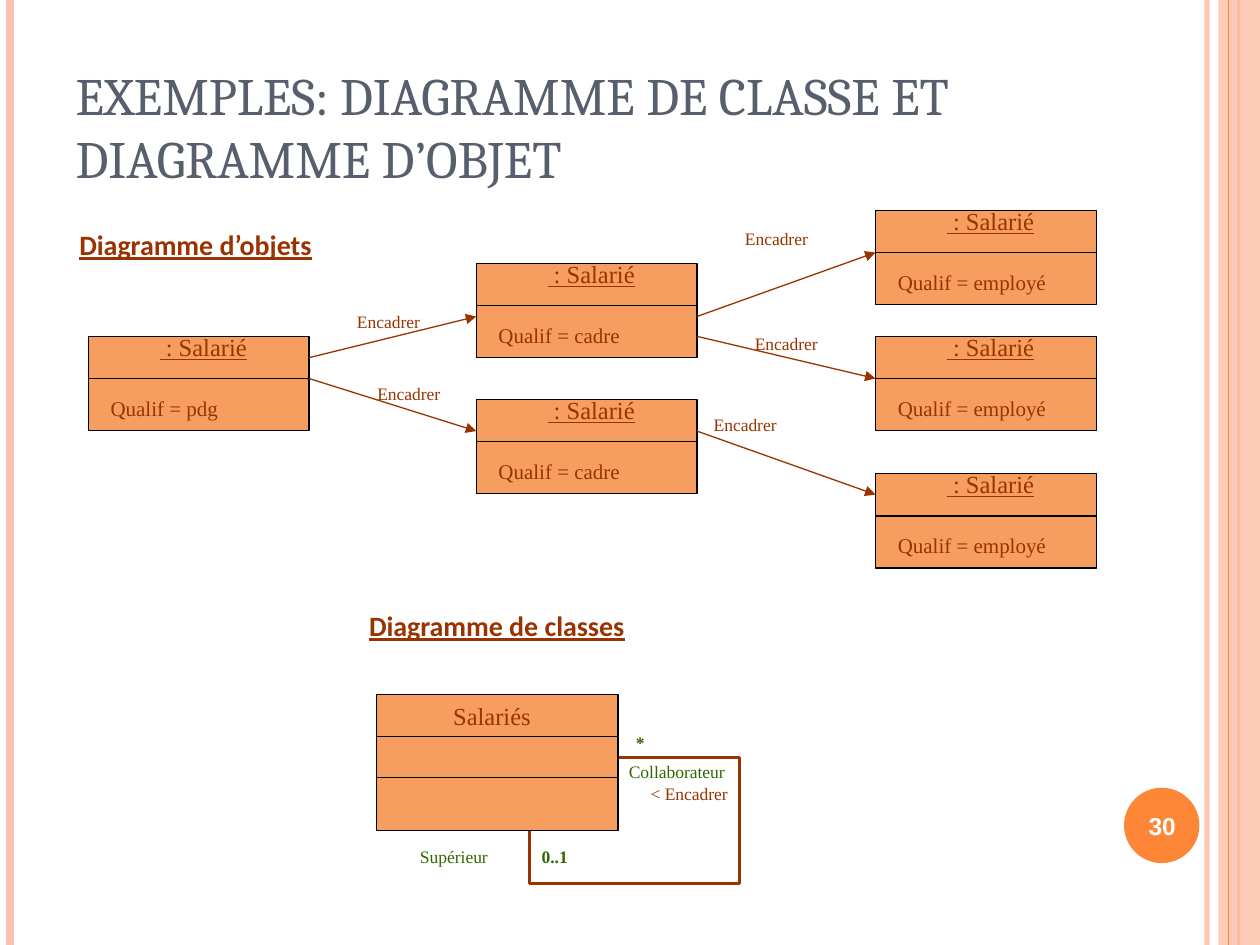
from pptx import Presentation
from pptx.dml.color import RGBColor
from pptx.enum.shapes import MSO_CONNECTOR, MSO_SHAPE
from pptx.enum.text import MSO_ANCHOR, MSO_AUTO_SIZE, PP_ALIGN
from pptx.oxml.ns import qn
from pptx.util import Cm, Pt
from lxml import etree

STRAIGHT = MSO_CONNECTOR.STRAIGHT
RECTANGLE, OVAL = MSO_SHAPE.RECTANGLE, MSO_SHAPE.OVAL
LEFT, CENTER = PP_ALIGN.LEFT, PP_ALIGN.CENTER
TOP, MIDDLE, BOTTOM = MSO_ANCHOR.TOP, MSO_ANCHOR.MIDDLE, MSO_ANCHOR.BOTTOM
NO_AUTO_SIZE = MSO_AUTO_SIZE.NONE

WHITE = RGBColor(0xFF, 0xFF, 0xFF)
BLACK = RGBColor(0x00, 0x00, 0x00)
SLATE = RGBColor(0x57, 0x5F, 0x6D)
BROWN = RGBColor(0x99, 0x33, 0x00)
GREEN = RGBColor(0x33, 0x66, 0x00)
APRICOT = RGBColor(0xF6, 0x9D, 0x60)
ORANGE = RGBColor(0xFE, 0x86, 0x37)
PEACH = RGBColor(0xFE, 0xC3, 0xAE)

TITLE = {"name": "Cambria", "size": Pt(30)}
HEADING = {"name": "Calibri", "size": Pt(16), "bold": True, "underline": True}
CLASS_NAME = {"name": "Times New Roman", "size": Pt(14)}
OBJECT_NAME = {**CLASS_NAME, "underline": True}
ATTRIBUTE = {"name": "Times New Roman", "size": Pt(12)}
LABEL = {"name": "Times New Roman", "size": Pt(10)}
MULTIPLICITY = {**LABEL, "bold": True}
PAGE_NUMBER = {"name": "Arial", "size": Pt(14), "bold": True}

SLIDE_HEIGHT = 19.05
CARD_WIDTH, CARD_HEIGHT, CARD_HEADER = 4.45, 1.9, 0.85
CARDS = {
    "pdg": (0, 2.54, "pdg"),
    "upper": (7.82, 1.07, "cadre"),
    "lower": (7.82, 3.81, "cadre"),
    "first": (15.87, 0, "employé"),
    "second": (15.87, 2.54, "employé"),
    "third": (15.87, 5.31, "employé"),
}
ARROWS = [
    ("pdg", 0.43, "upper", 1.07, 5.08, 1.91),
    ("pdg", 0.85, "lower", 0.64, 5.49, 3.35),
    ("upper", 1.07, "first", 0.85, 12.9, 0.23),
    ("upper", 1.47, "second", 0.85, 13.1, 2.34),
    ("lower", 0.64, "third", 0.42, 12.27, 3.99),
]
CLASS_LABELS = [
    (4.75, 1.21, 2.97, " Collaborateur", LABEL, GREEN),
    (4.98, 0.63, 1.07, "*", MULTIPLICITY, GREEN),
    (5.19, 1.65, 2.54, " < Encadrer", LABEL, BROWN),
    (0.54, 2.92, 2.97, " Supérieur", LABEL, GREEN),
    (3.08, 2.92, 1.07, "0..1", MULTIPLICITY, GREEN),
]


def write_text(shape, text, style, color, align=LEFT, anchor=TOP):
    """Fill a shape with one formatted paragraph."""
    frame = shape.text_frame
    frame.text = text
    for name, value in {"word_wrap": True, "auto_size": NO_AUTO_SIZE, "vertical_anchor": anchor}.items():
        setattr(frame, name, value)
    paragraph = frame.paragraphs[0]
    paragraph.alignment = align
    font = paragraph.runs[0].font
    for name, value in style.items():
        setattr(font, name, value)
    font.color.rgb = color


def add_text(shapes, left, top, width, height, text, style, color, align=LEFT, anchor=TOP):
    """Add a text box."""
    box = shapes.add_textbox(Cm(left), Cm(top), Cm(width), Cm(height))
    write_text(box, text, style, color, align, anchor)


def set_opacity(fill_parent, percent):
    """Give a solid fill its opacity."""
    color = fill_parent.find(".//" + qn("a:srgbClr"))
    etree.SubElement(color, qn("a:alpha"), val=str(percent * 1000))


def add_line(shapes, start, end, color, width=0.75, arrow=False, opacity=100):
    """Add a straight line, with an arrowhead at its end if asked."""
    connector = shapes.add_connector(STRAIGHT, *(Cm(value) for value in (*start, *end)))
    connector.line.color.rgb = color
    connector.line.width = Pt(width)
    properties = connector._element.spPr
    outline = properties.find(qn("a:ln"))
    if opacity < 100:
        set_opacity(outline, opacity)
    if arrow:
        etree.SubElement(outline, qn("a:tailEnd"), type="triangle")
    etree.SubElement(properties, qn("a:effectLst"))


def add_block(shapes, kind, left, top, width, height, fill=None, line=None, line_width=0.75):
    """Add a preset shape with optional fill and outline."""
    shape = shapes.add_shape(kind, Cm(left), Cm(top), Cm(width), Cm(height))
    shape.shadow.inherit = False
    if fill is None:
        shape.fill.background()
    else:
        shape.fill.solid()
        shape.fill.fore_color.rgb = fill
    if line is None:
        shape.line.fill.background()
    else:
        shape.line.color.rgb = line
        shape.line.width = Pt(line_width)
    return shape


def add_side_bands(shapes, left, right, height):
    """Draw the vertical stripes along both edges of the slide."""
    for x, color, width, opacity in [
        (right - 1.07, PEACH, 3, 93),
        (left + 0.21, PEACH, 4.5, 100),
        (right - 0.43, ORANGE, 1.5, 100),
    ]:
        add_line(shapes, (x, 0), (x, height), color, width, opacity=opacity)
    band = add_block(shapes, RECTANGLE, right - 0.84, 0, 0.84, height, PEACH)
    set_opacity(band._element.spPr, 87)
    add_line(shapes, (right - 0.64, 0), (right - 0.64, height), ORANGE)


def add_page_number(shapes, left, top, size, number):
    """Draw the page number on its disc."""
    add_block(shapes, OVAL, left, top, size, size, ORANGE)
    add_text(shapes, left - 0.08, top + 0.05, 1.7, 1.45, number, PAGE_NUMBER, WHITE, CENTER, MIDDLE)


def add_object_card(shapes, left, top, role):
    """Draw one employee object as a group."""
    card = shapes.add_group_shape().shapes
    add_block(card, RECTANGLE, left, top, CARD_WIDTH, CARD_HEIGHT, APRICOT, BLACK)
    divider = top + CARD_HEADER
    add_line(card, (left, divider), (left + CARD_WIDTH, divider), BLACK)
    add_text(card, left + 0.2, top - 0.21, 4.24, 0.86, " : Salarié", OBJECT_NAME, BROWN, CENTER)
    add_text(card, left + 0.2, top + 1.07, 4.24, 0.76, f"Qualif = {role}", ATTRIBUTE, BROWN)


def add_object_diagram(shapes, left, top):
    """Draw the hierarchy of employee objects."""
    add_text(shapes, left - 0.43, top + 0.23, 6.17, 0.94, "Diagramme d’objets", HEADING, BROWN)
    for x, y, role in CARDS.values():
        add_object_card(shapes, left + x, top + y, role)
    for source, source_drop, target, target_drop, label_x, label_y in ARROWS:
        source_x, source_y, _ = CARDS[source]
        target_x, target_y, _ = CARDS[target]
        start = (left + source_x + CARD_WIDTH, top + source_y + source_drop)
        end = (left + target_x, top + target_y + target_drop)
        add_line(shapes, start, end, BROWN, arrow=True)
        add_text(shapes, left + label_x, top + label_y, 2.54, 0.69, " Encadrer", LABEL, BROWN)


def add_class_diagram(shapes, left, top, width, height):
    """Draw the employee class and its reflexive association."""
    add_text(shapes, left - 0.4, top - 1.86, 6.78, 0.94, "Diagramme de classes", HEADING, BROWN)
    group = shapes.add_group_shape().shapes
    add_block(group, RECTANGLE, left + 3.08, top + 1.27, 4.24, 2.54, line=BROWN, line_width=1.5)
    add_block(group, RECTANGLE, left, top, width, height, APRICOT, BLACK)
    for row in (1, 2):
        divider = top + row * 0.84
        add_line(group, (left, divider), (left + width, divider), BLACK)
    add_text(group, left + 0.64, top, 3.38, 0.86, "Salariés", CLASS_NAME, BROWN, CENTER)
    for x, y, label_width, text, style, color in CLASS_LABELS:
        add_text(group, left + x, top + y, label_width, 0.69, text, style, color)


def add_title(shape, left, top, width, height):
    """Place and format the title placeholder."""
    for name, value in {"left": left, "top": top, "width": width, "height": height}.items():
        setattr(shape, name, Cm(value))
    write_text(shape, "EXEMPLES: DIAGRAMME DE CLASSE ET DIAGRAMME D’OBJET", TITLE, SLATE, anchor=BOTTOM)


def main():
    """Build the slide and save it."""
    presentation = Presentation()
    presentation.slide_width, presentation.slide_height = Cm(25.4), Cm(SLIDE_HEIGHT)
    slide = presentation.slides.add_slide(presentation.slide_layouts[5])
    shapes = slide.shapes
    add_side_bands(shapes, 0, 25.4, SLIDE_HEIGHT)
    add_title(shapes.title, 1.27, 0.76, 20.75, 3.18)
    add_object_diagram(shapes, 1.78, 4.24)
    add_class_diagram(shapes, 7.59, 14, 4.87, 2.74)
    add_page_number(shapes, 22.66, 15.88, 1.52, "30")
    presentation.save("out.pptx")


if __name__ == "__main__":
    main()
